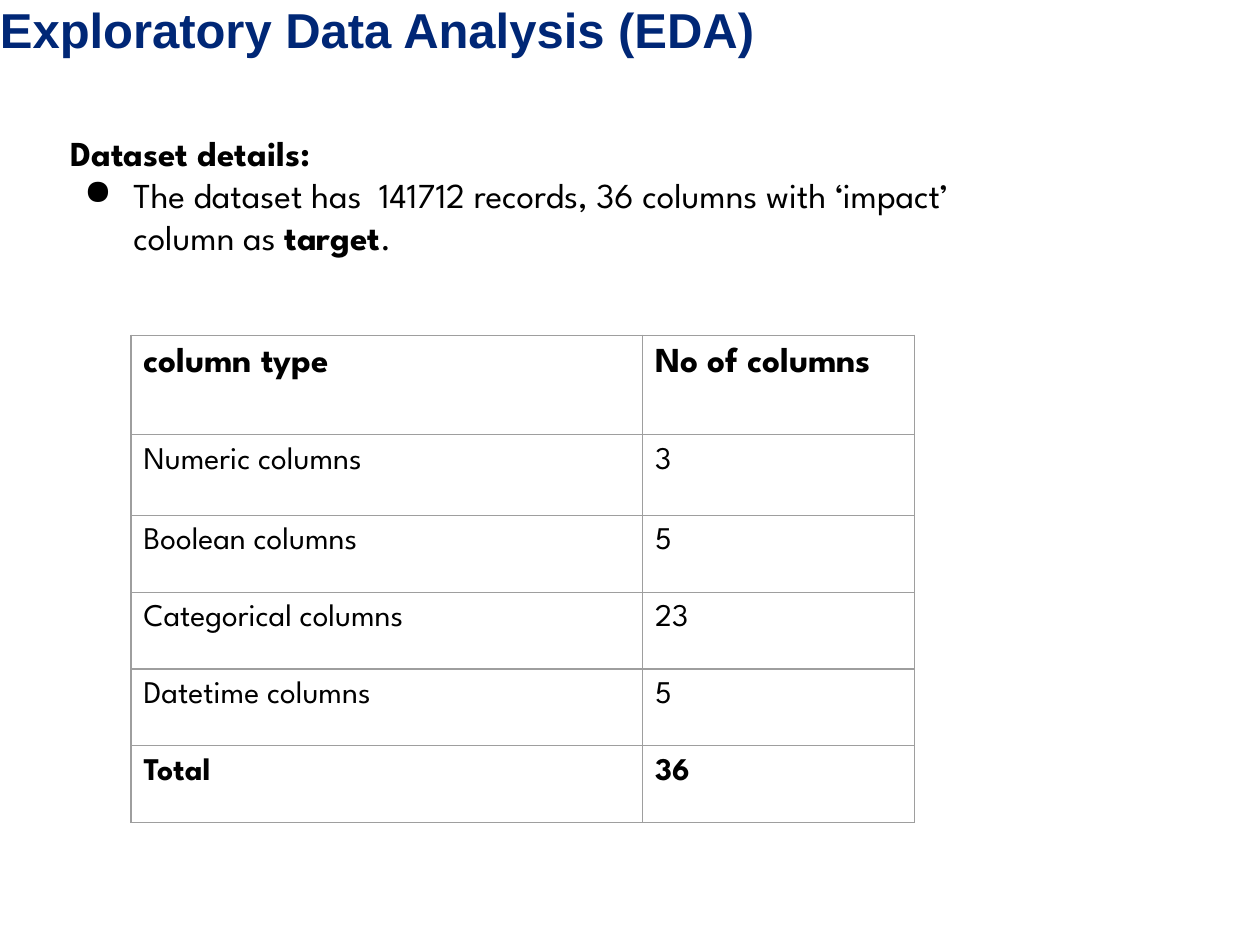
from dataclasses import dataclass

import pptx
import pptx.dml.color
import pptx.oxml
import pptx.oxml.ns
import pptx.presentation
import pptx.slide
import pptx.text.text
import pptx.util
from pptx.util import Inches

NAVY = pptx.dml.color.RGBColor(0x00, 0x27, 0x76)
BLACK = pptx.dml.color.RGBColor(0x00, 0x00, 0x00)
GREY = pptx.dml.color.RGBColor(0x9E, 0x9E, 0x9E)
BODY_FONT = "League Spartan"
MARGIN = Inches(0.1)


@dataclass(frozen=True)
class ColumnCount:
    label: str
    count: str
    height: float
    size: int = 18
    bold: bool = False


COLUMN_COUNTS = [
    ColumnCount("column type", "No of columns", 0.79, size=20, bold=True),
    ColumnCount("Numeric columns", "3", 0.64),
    ColumnCount("Boolean columns", "5", 0.61),
    ColumnCount("Categorical columns", "23", 0.61),
    ColumnCount("Datetime columns", "5", 0.61),
    ColumnCount("Total", "36", 0.61, bold=True),
]
COLUMN_WIDTHS = (4.06, 2.16)


def write(paragraph: pptx.text.text._Paragraph, text: str, *, size: int = 20,
          font: str = BODY_FONT, color: pptx.dml.color.RGBColor = BLACK,
          bold: bool = False) -> None:
    """Append one formatted run to the paragraph."""
    run = paragraph.add_run()
    run.text = text
    run.font.size = pptx.util.Pt(size)
    run.font.name = font
    run.font.color.rgb = color
    run.font.bold = bold


def add_text_frame(slide: pptx.slide.Slide, left: float, top: float, width: float,
                   height: float, margin: int) -> pptx.text.text.TextFrame:
    frame = slide.shapes.add_textbox(
        Inches(left), Inches(top), Inches(width), Inches(height)).text_frame
    frame.word_wrap = True
    frame.margin_left = frame.margin_right = margin
    frame.margin_top = frame.margin_bottom = margin
    return frame


def add_bullet(paragraph: pptx.text.text._Paragraph) -> None:
    properties = paragraph._p.get_or_add_pPr()
    properties.set("marL", str(Inches(0.5)))
    properties.set("indent", str(Inches(-0.39)))
    namespace = pptx.oxml.ns.nsdecls("a")
    for xml in (f'<a:buClr {namespace}><a:srgbClr val="{BLACK}"/></a:buClr>',
                f'<a:buChar {namespace} char="●"/>'):
        properties.append(pptx.oxml.parse_xml(xml))


def outline(cell) -> None:
    """Draw a thin grey border on all four sides of a table cell."""
    properties = cell._tc.get_or_add_tcPr()
    for position, side in enumerate(("lnL", "lnR", "lnT", "lnB")):
        properties.insert(position, pptx.oxml.parse_xml(
            f'<a:{side} {pptx.oxml.ns.nsdecls("a")} w="{pptx.util.Pt(0.75)}">'
            f'<a:solidFill><a:srgbClr val="{GREY}"/></a:solidFill></a:{side}>'))


def add_count_table(slide: pptx.slide.Slide) -> None:
    table = slide.shapes.add_table(
        len(COLUMN_COUNTS), len(COLUMN_WIDTHS), Inches(1.04), Inches(2.66),
        Inches(sum(COLUMN_WIDTHS)),
        Inches(sum(entry.height for entry in COLUMN_COUNTS))).table
    table.first_row = table.horz_banding = False
    for column, width in zip(table.columns, COLUMN_WIDTHS):
        column.width = Inches(width)
    for row, entry in zip(table.rows, COLUMN_COUNTS):
        row.height = Inches(entry.height)
        for cell, text in zip(row.cells, (entry.label, entry.count)):
            cell.fill.background()
            cell.margin_left = cell.margin_right = MARGIN
            cell.margin_top = cell.margin_bottom = MARGIN
            outline(cell)
            write(cell.text_frame.paragraphs[0], text, size=entry.size, bold=entry.bold)


def add_title(slide: pptx.slide.Slide) -> None:
    title = add_text_frame(slide, 0, 0, 9.3, 0.94, margin=0)
    write(title.paragraphs[0], "Exploratory Data Analysis (EDA)",
          size=28, font="Arial", color=NAVY, bold=True)


def add_dataset_details(slide: pptx.slide.Slide) -> None:
    details = add_text_frame(slide, 0.46, 0.94, 8.04, 1.21, margin=MARGIN)
    write(details.paragraphs[0], "Dataset details:", bold=True)
    summary = details.add_paragraph()
    add_bullet(summary)
    write(summary, "The dataset has  141712 records, 36 columns with ‘impact’ column as ")
    write(summary, "target", bold=True)
    write(summary, ".")


def main() -> None:
    presentation = pptx.Presentation()
    presentation.slide_width = Inches(10)
    presentation.slide_height = Inches(7.5)
    slide = presentation.slides.add_slide(presentation.slide_layouts[6])
    add_count_table(slide)
    add_title(slide)
    add_dataset_details(slide)
    presentation.save("out.pptx")


if __name__ == "__main__":
    main()
